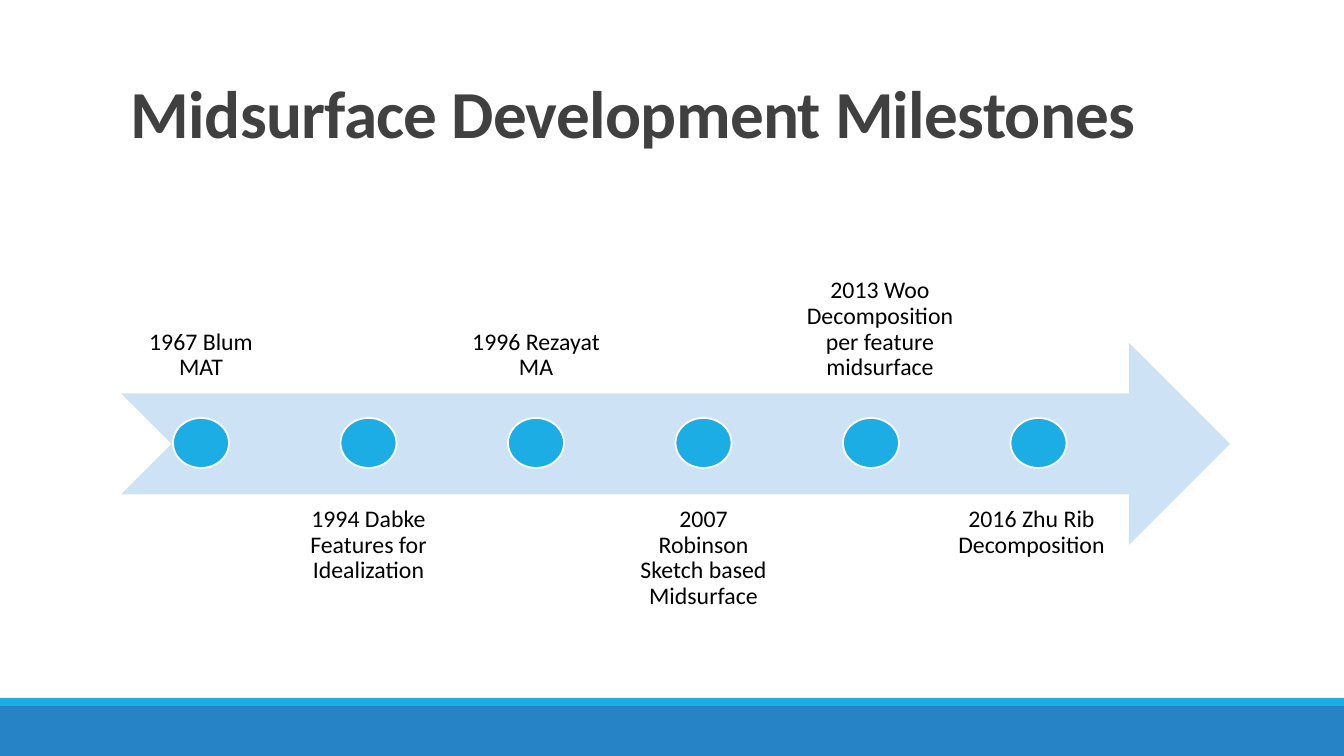
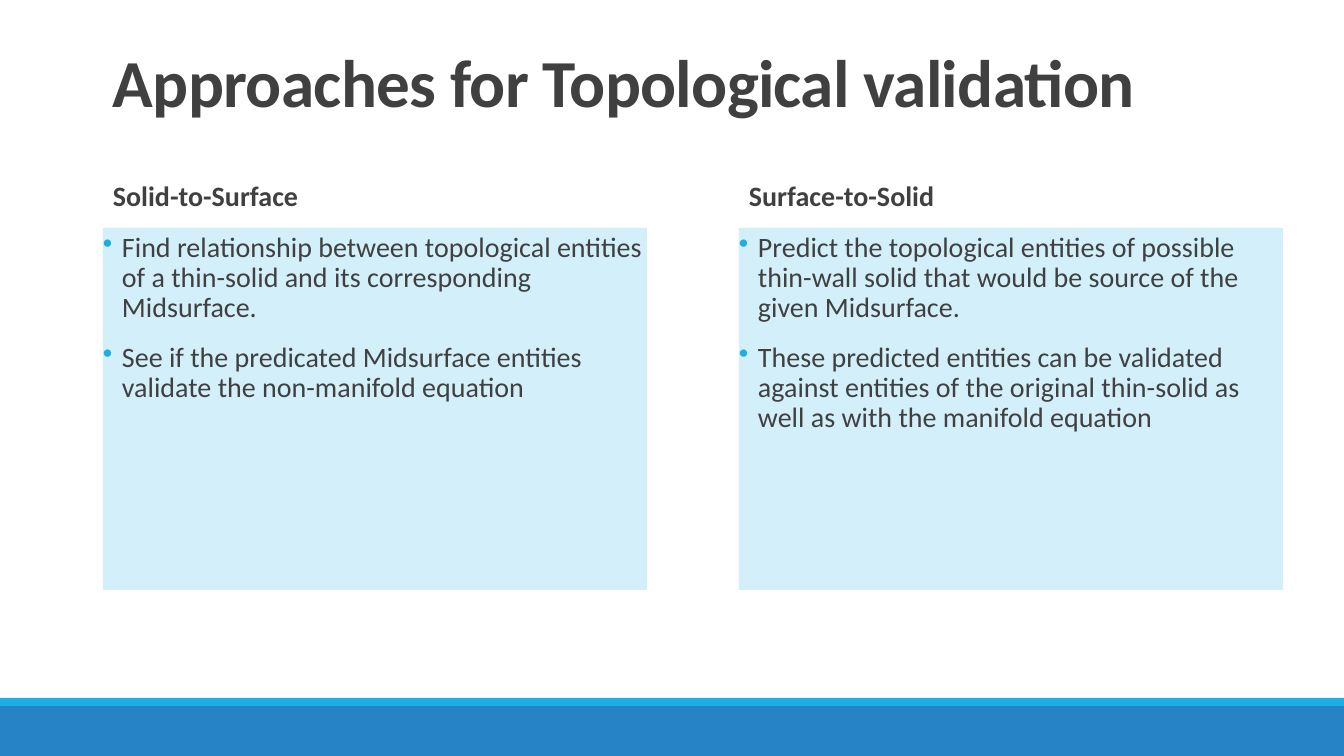
from lxml import etree
from pptx import Presentation
from pptx.dml.color import RGBColor
from pptx.enum import shapes, text
from pptx.oxml import ns
from pptx.util import Pt

PX = 914400 / 100.8  # EMU in one px
WIDTH, HEIGHT = 1344, 756
COLORS = {
    "band": "2683C6",
    "accent": "1CADE4",
    "arrow": "CDE3F5",
    "panel": "D2EFFA",
    "text": "404040",
    "label": "000000",
    "white": "FFFFFF",
}
TOP, BOTTOM = text.MSO_ANCHOR.TOP, text.MSO_ANCHOR.BOTTOM
LEFT, CENTER = text.PP_ALIGN.LEFT, text.PP_ALIGN.CENTER


def emu(px):
    return round(px * PX)


def color(name):
    return RGBColor.from_string(COLORS[name])


class Deck:
    """Holds the style and the current slide."""

    font_name = "Calibri"

    def __init__(self):
        self.presentation = Presentation()
        self.presentation.slide_width = emu(WIDTH)
        self.presentation.slide_height = emu(HEIGHT)
        self.slide = None

    def new_slide(self, title, left, bottom, width):
        self.slide = self.presentation.slides.add_slide(self.presentation.slide_layouts[6])
        # Footer bands
        self.shape(shapes.MSO_SHAPE.RECTANGLE, 0, 706, WIDTH, 50, "band")
        self.shape(shapes.MSO_SHAPE.RECTANGLE, 0, 698, WIDTH, 8, "accent")
        # Title
        box = self.text_box([title], left, bottom - 94, width, 94, size=48, bold=True,
                            spacing=0.85, anchor=BOTTOM, insets=(10, 5))
        run = box.text_frame.paragraphs[0].runs[0]
        run._r.get_or_add_rPr().set("spc", "-50")

    def shape(self, kind, left, top, width, height, fill, line=None):
        shape = self.slide.shapes.add_shape(kind, *map(emu, (left, top, width, height)))
        shape.shadow.inherit = False
        shape.fill.solid()
        shape.fill.fore_color.rgb = color(fill)
        if line:
            shape.line.color.rgb = color(line)
            shape.line.width = Pt(1.25)
        else:
            shape.line.fill.background()
        return shape

    def text_box(self, lines, left, top, width, height, size, text_color="text", bold=False,
                 spacing=0.9, align=LEFT, anchor=TOP, insets=(0, 5), fill=None, bullets=False):
        box = self.slide.shapes.add_textbox(*map(emu, (left, top, width, height)))
        if fill:
            box.fill.solid()
            box.fill.fore_color.rgb = color(fill)
        frame = box.text_frame
        frame.word_wrap = True
        frame.vertical_anchor = anchor
        frame.margin_left = frame.margin_right = emu(insets[0])
        frame.margin_top = frame.margin_bottom = emu(insets[1])
        for index, line in enumerate(lines):
            paragraph = frame.paragraphs[0] if index == 0 else frame.add_paragraph()
            paragraph.text = line
            if bullets:
                self.bullet(paragraph)
            paragraph.alignment = align
            paragraph.line_spacing = spacing
            if index:
                paragraph.space_before = Pt(14)
            paragraph.font.name = self.font_name
            paragraph.font.size = Pt(size)
            paragraph.font.bold = bold
            paragraph.font.color.rgb = color(text_color)
        return box

    def bullet(self, paragraph, indent=19):
        properties = paragraph._p.get_or_add_pPr()
        properties.set("marL", str(emu(indent)))
        properties.set("indent", str(-emu(indent)))
        bullet_color = etree.SubElement(properties, ns.qn("a:buClr"))
        etree.SubElement(bullet_color, ns.qn("a:srgbClr")).set("val", COLORS["accent"])
        etree.SubElement(properties, ns.qn("a:buChar")).set("char", "•")

    def milestone(self, label, center, above, shift, width):
        self.text_box([label], center + shift - width / 2, 192 if above else 494, width, 202,
                      size=17, text_color="label", align=CENTER,
                      anchor=BOTTOM if above else TOP, insets=(13, 13))
        self.shape(shapes.MSO_SHAPE.OVAL, center - 28, 418, 56, 50, "accent", line="white")

    def column(self, heading, points, left, width=544):
        self.text_box([heading], left, 177, width, 82, size=20, bold=True, insets=(10, 5))
        self.text_box(points, left, 228, width, 362, size=20, fill="panel", bullets=True)


def main():
    deck = Deck()

    # Slide 1: timeline, labels alternating above and below the arrow
    deck.new_slide("Midsurface Development Milestones", 121, 157, 1223)
    deck.shape(shapes.MSO_SHAPE.NOTCHED_RIGHT_ARROW, 121, 343, 1109, 202, "arrow")
    milestones = [  # label, sideways shift, width
        ("1967 Blum MAT", 0, 159),
        ("1994 Dabke Features for Idealization", 0, 159),
        ("1996 Rezayat MA", 0, 159),
        ("2007 Robinson Sketch based Midsurface", 0, 159),
        ("2013 Woo Decomposition per feature midsurface", 9, 178),
        ("2016 Zhu Rib Decomposition", -7, 174),
    ]
    for index, (label, shift, width) in enumerate(milestones):
        deck.milestone(label, 201 + index * 335 / 2, index % 2 == 0, shift, width)

    # Slide 2: two columns
    deck.new_slide("Approaches for Topological validation", 103, 126, 1159)
    deck.column("Solid-to-Surface", [
        "Find relationship between topological entities of a thin-solid and its "
        "corresponding Midsurface.",
        "See if the predicated Midsurface entities validate the non-manifold equation",
    ], 103)
    deck.column("Surface-to-Solid", [
        "Predict the topological entities of possible thin-wall solid that would be "
        "source of the given Midsurface.",
        "These predicted entities can be validated against entities of the original "
        "thin-solid as well as with the manifold equation",
    ], 739)

    deck.presentation.save("out.pptx")


if __name__ == "__main__":
    main()
